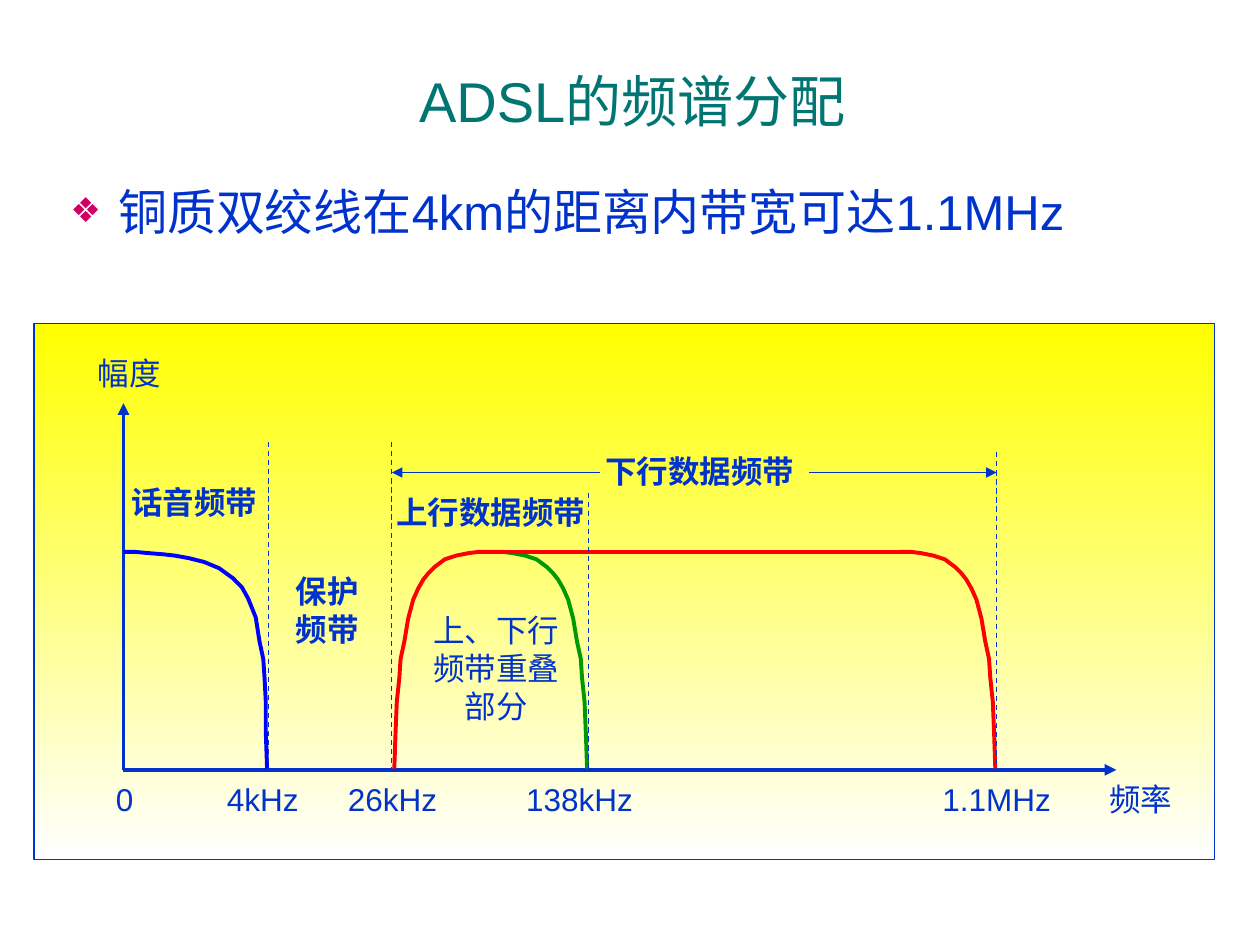
import pptx
import pptx.util
import pptx.dml.color
import pptx.enum.dml
import pptx.enum.shapes
import pptx.enum.text
import pptx.oxml
import pptx.oxml.ns
from pptx.util import Inches

COLORS = {"text": "0033CC", "title": "007572", "bullet": "CC0066",
          "yellow": "FFFF00", "white": "FFFFFF",
          "voice": "0000FF", "upstream": "009900", "downstream": "FF0000"}
FONT = "Arial"

# Frequency axis
BASE, TOP, ORIGIN = 6.11, 4.38, 0.98
VOICE_END, UP_START, UP_END, DOWN_END = 2.13, 3.11, 4.67, 7.91
ARROW_Y = 3.75

# Band edges: distance from the start of the roll-off, depth below the top
VOICE_EDGE = [(0, 0), (0.09, 0), (0.2, 0.01), (0.32, 0.02), (0.41, 0.03),
              (0.52, 0.05), (0.64, 0.08), (0.76, 0.13), (0.87, 0.21),
              (0.94, 0.28), (0.99, 0.37), (1.05, 0.52), (1.08, 0.71),
              (1.11, 0.85), (1.12, 1), (1.13, 1.19), (1.13, 1.43), (1.14, 1.72)]
DATA_EDGE = [(0, 0), (0.09, 0), (0.17, 0.01), (0.27, 0.03), (0.36, 0.06),
             (0.44, 0.12), (0.49, 0.17), (0.53, 0.22), (0.57, 0.29),
             (0.61, 0.38), (0.65, 0.53), (0.68, 0.71), (0.71, 0.85),
             (0.72, 1), (0.74, 1.19), (0.75, 1.43), (0.76, 1.72)]


def rgb(name):
    return pptx.dml.color.RGBColor.from_string(COLORS[name])


def add_element(parent, tag, **attributes):
    element = pptx.oxml.parse_xml(f"<a:{tag} {pptx.oxml.ns.nsdecls('a')}/>")
    for key, value in attributes.items():
        element.set(key, value)
    parent.append(element)
    return element


class Diagram:
    def __init__(self, slide):
        self.slide = slide

    def add_text(self, paragraph, text, size, color="text", bold=False):
        run = paragraph.add_run()
        run.text = text
        run.font.name = FONT
        run.font.size = pptx.util.Pt(size)
        run.font.bold = bold
        run.font.color.rgb = rgb(color)

    def title(self, text, left, top, width, height):
        shape = self.slide.shapes.title
        shape.left, shape.top = Inches(left), Inches(top)
        shape.width, shape.height = Inches(width), Inches(height)
        shape.text_frame.vertical_anchor = pptx.enum.text.MSO_ANCHOR.MIDDLE
        paragraph = shape.text_frame.paragraphs[0]
        paragraph.alignment = pptx.enum.text.PP_ALIGN.CENTER
        self.add_text(paragraph, text, 32, "title")

    def bullet(self, text, left, top, width, height):
        shape = self.slide.shapes.add_textbox(
            Inches(left), Inches(top), Inches(width), Inches(height))
        shape.text_frame.word_wrap = True
        paragraph = shape.text_frame.paragraphs[0]
        properties = paragraph._p.get_or_add_pPr()
        properties.set("marL", str(Inches(0.38)))
        properties.set("indent", str(Inches(-0.38)))
        add_element(add_element(properties, "buClr"), "srgbClr", val=COLORS["bullet"])
        add_element(properties, "buSzPct", val="70000")
        add_element(properties, "buFont", typeface=FONT)
        add_element(properties, "buChar", char="❖")
        self.add_text(paragraph, text, 28)

    def label(self, lines, left, top, width, bold=False):
        frame = self.slide.shapes.add_textbox(
            Inches(left), Inches(top), Inches(width),
            Inches(0.3 * len(lines))).text_frame
        frame.word_wrap = True
        frame.auto_size = pptx.enum.text.MSO_AUTO_SIZE.SHAPE_TO_FIT_TEXT
        frame.margin_left = frame.margin_right = 0
        frame.margin_top = frame.margin_bottom = 0
        for index, text in enumerate(lines):
            paragraph = frame.add_paragraph() if index else frame.paragraphs[0]
            paragraph.alignment = pptx.enum.text.PP_ALIGN.CENTER
            self.add_text(paragraph, text, 18, bold=bold)

    def panel(self, left, top, width, height):
        shape = self.slide.shapes.add_shape(
            pptx.enum.shapes.MSO_SHAPE.RECTANGLE,
            Inches(left), Inches(top), Inches(width), Inches(height))
        shape.shadow.inherit = False
        shape.fill.gradient()
        shape.fill.gradient_angle = 270
        for stop, color in zip(shape.fill.gradient_stops, ("yellow", "white")):
            stop.color.rgb = rgb(color)
        shape.line.color.rgb = rgb("text")
        shape.line.width = pptx.util.Pt(0.75)

    def line(self, start, end, width=0.75, color="text", dashed=False, arrow=False):
        connector = self.slide.shapes.add_connector(
            pptx.enum.shapes.MSO_CONNECTOR.STRAIGHT,
            *(Inches(value) for value in (*start, *end)))
        connector.line.width = pptx.util.Pt(width)
        connector.line.color.rgb = rgb(color)
        if dashed:
            connector.line.dash_style = pptx.enum.dml.MSO_LINE.DASH
        properties = connector._element.spPr
        if arrow:
            outline = properties.find(pptx.oxml.ns.qn("a:ln"))
            add_element(outline, "tailEnd", type="triangle")
        add_element(properties, "effectLst")

    def band_edge(self, start, edge, color, direction=1):
        points = [(Inches(start + direction * x), Inches(TOP + y)) for x, y in edge]
        builder = self.slide.shapes.build_freeform(*points[0])
        builder.add_line_segments(points[1:], close=False)
        shape = builder.convert_to_shape()
        shape.shadow.inherit = False
        shape.fill.background()
        shape.line.color.rgb = rgb(color)
        shape.line.width = pptx.util.Pt(2.25)


def main():
    presentation = pptx.Presentation()
    presentation.slide_width, presentation.slide_height = Inches(10), Inches(7.5)
    diagram = Diagram(presentation.slides.add_slide(presentation.slide_layouts[5]))

    # Heading and background panel
    diagram.panel(0.27, 2.57, 9.37, 4.25)
    diagram.title("ADSL的频谱分配", 0.35, 0.44, 9.34, 0.71)
    diagram.bullet("铜质双绞线在4km的距离内带宽可达1.1MHz", 0.46, 1.39, 9.08, 0.73)

    # Axes
    for end in ((8.86, BASE), (ORIGIN, 3.2)):
        diagram.line((ORIGIN, BASE), end, 2.25, arrow=True)

    # Bands
    diagram.band_edge(ORIGIN, VOICE_EDGE, "voice")
    diagram.band_edge(3.9, DATA_EDGE, "upstream")
    diagram.band_edge(3.89, DATA_EDGE, "downstream", direction=-1)
    diagram.line((3.82, TOP), (7.16, TOP), 2.25, "downstream")
    diagram.band_edge(7.14, DATA_EDGE, "downstream")

    # Axis labels
    for text, left, width in (("频率", 8.78, 0.55), ("0", 0.83, 0.32),
                              ("4kHz", 1.77, 0.63), ("26kHz", 2.72, 0.79),
                              ("138kHz", 4.13, 0.94), ("1.1MHz", 7.44, 0.94)):
        diagram.label([text], left, 6.19, width)
    diagram.label(["幅度"], 0.75, 2.81, 0.55)

    # Band labels
    diagram.label(["话音频带"], 1.03, 3.83, 1.02, bold=True)
    diagram.label(["保护", "频带"], 2.24, 4.54, 0.71, bold=True)
    diagram.label(["上行数据频带"], UP_START, 3.91, 1.57, bold=True)
    diagram.label(["下行数据频带"], 4.69, 3.59, 1.73, bold=True)
    diagram.label(["上、下行", "频带重叠部分"], 3.43, 4.85, 1.02)

    # Band limits and the span of the downstream band
    for x, top in ((VOICE_END, 3.51), (UP_START, 3.51), (UP_END, 3.91), (DOWN_END, 3.59)):
        diagram.line((x, top), (x, BASE), dashed=True)
    for start, end in ((6.42, DOWN_END), (4.76, UP_START)):
        diagram.line((start, ARROW_Y), (end, ARROW_Y), arrow=True)

    presentation.save("out.pptx")


if __name__ == "__main__":
    main()
